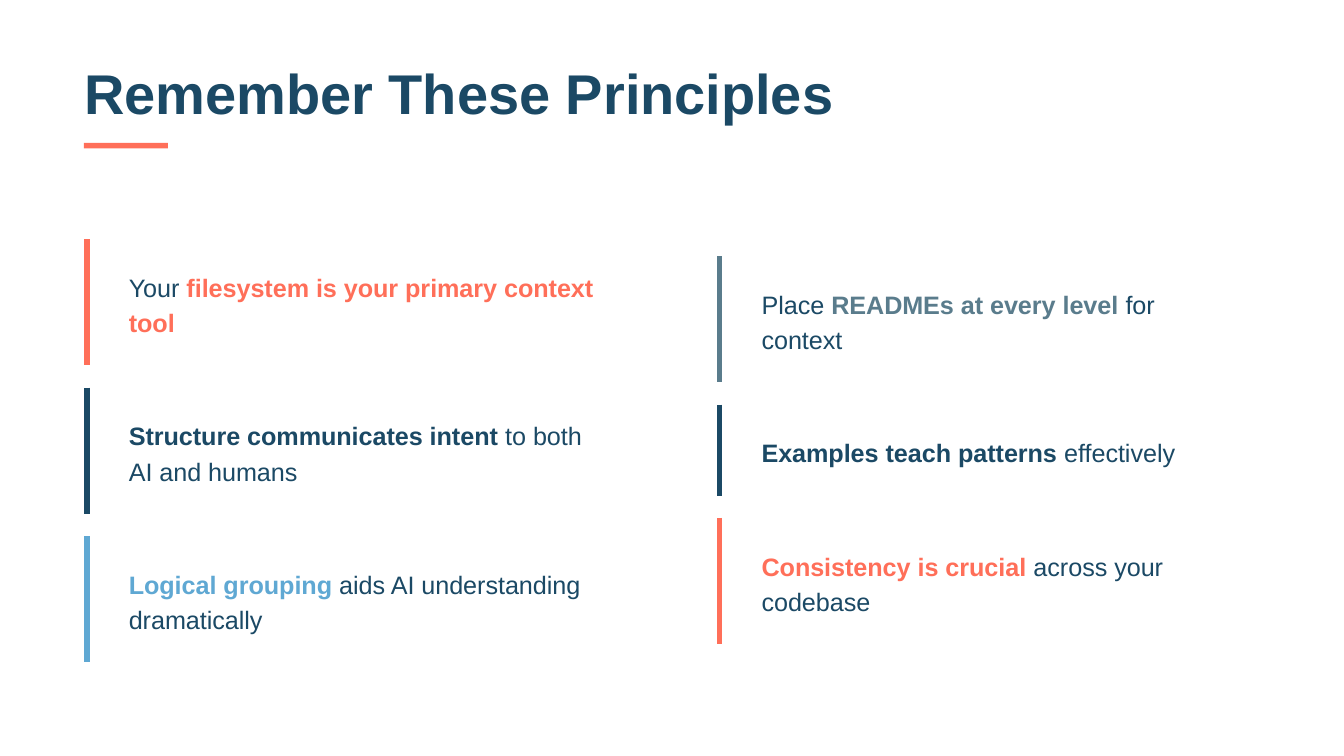
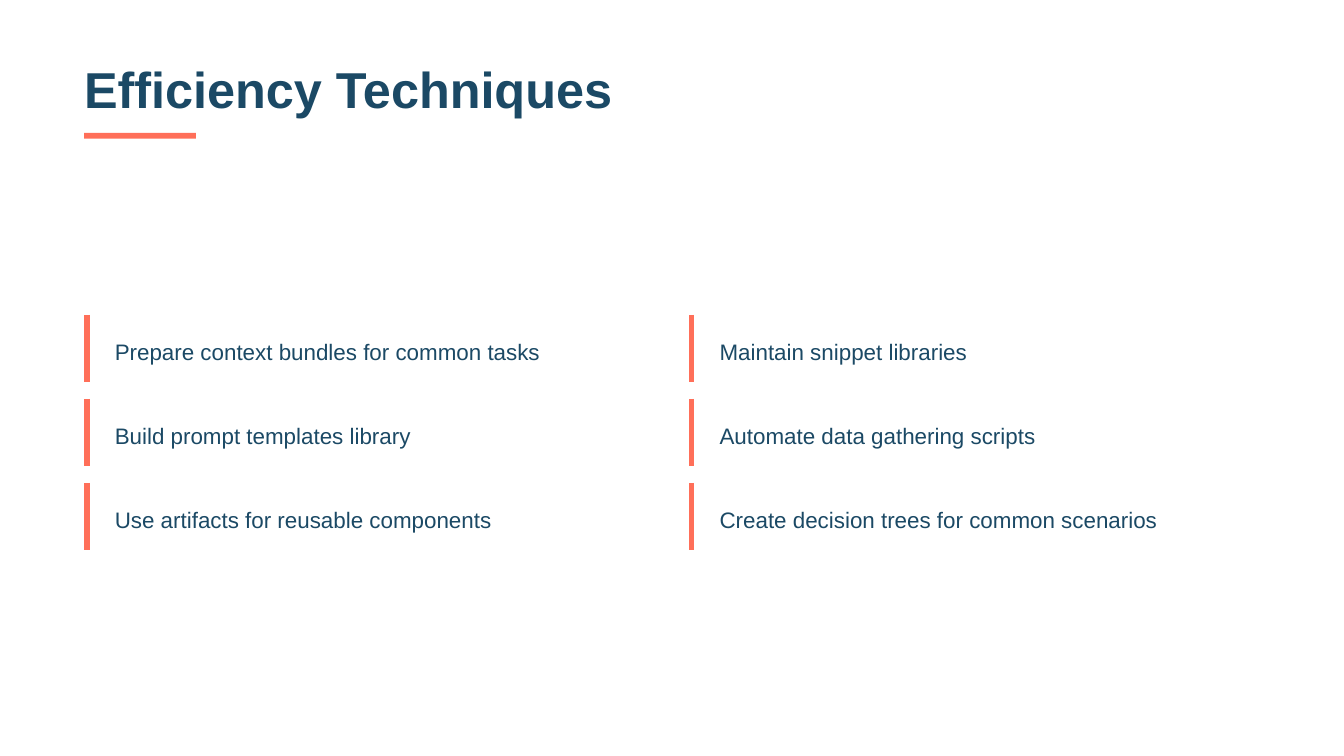
from lxml import etree
from pptx import Presentation
from pptx.dml.color import RGBColor
from pptx.enum.shapes import MSO_CONNECTOR as Connector, MSO_SHAPE as Shape
from pptx.enum.text import MSO_ANCHOR as Anchor, MSO_AUTO_SIZE as AutoSize, PP_ALIGN as Align
from pptx.oxml.ns import qn
from pptx.util import Emu, Pt

PX = 9525
FONT = "Arial"
LEFT = 60
COLORS = {"navy": "1B4965", "coral": "FF6F59", "sky": "5FA8D3",
          "slate": "5A7C8C", "white": "FFFFFF"}

PRINCIPLES = [
    [("coral", 2, [("Your ", "navy", False),
                   ("filesystem is your primary context tool", "coral", True)]),
     ("navy", 2, [("Structure communicates intent", "navy", True),
                  (" to both AI and humans", "navy", False)]),
     ("sky", 2, [("Logical grouping", "sky", True),
                 (" aids AI understanding dramatically", "navy", False)])],
    [("slate", 2, [("Place ", "navy", False),
                   ("READMEs at every level", "slate", True),
                   (" for context", "navy", False)]),
     ("navy", 1, [("Examples teach patterns", "navy", True),
                  (" effectively", "navy", False)]),
     ("coral", 2, [("Consistency is crucial", "coral", True),
                   (" across your codebase", "navy", False)])],
]
TECHNIQUES = [
    ["Prepare context bundles for common tasks",
     "Build prompt templates library",
     "Use artifacts for reusable components"],
    ["Maintain snippet libraries",
     "Automate data gathering scripts",
     "Create decision trees for common scenarios"],
]
PRINCIPLE_STYLE = {"width": 388, "gap": 16, "radius": 8, "indent": 32, "pad": 20,
                   "text_width": 334, "line": 25, "size": 13.5, "leading": 18.9}
TECHNIQUE_STYLE = {"width": 408, "gap": 12, "radius": 4, "indent": 22, "pad": 12,
                   "text_width": 375, "line": 24, "size": 12, "leading": 18}


def px(*lengths):
    """Turn pixel lengths into EMU."""
    return [Emu(length * PX) for length in lengths]


def color(name):
    """Look up a palette colour."""
    return RGBColor.from_string(COLORS[name])


def write(box, runs, size, leading):
    """Fill a text shape with one left-aligned paragraph of styled runs."""
    frame = box.text_frame
    frame.word_wrap = True
    frame.auto_size = AutoSize.NONE
    frame.vertical_anchor = Anchor.TOP
    frame.margin_left = frame.margin_top = frame.margin_right = frame.margin_bottom = 0
    para = frame.paragraphs[0]
    para.alignment = Align.LEFT
    para.line_spacing = Pt(leading)
    for text, tint, bold in runs:
        span = para.add_run()
        span.text = text
        span.font.name = FONT
        span.font.size = Pt(size)
        span.font.bold = bold
        span.font.color.rgb = color(tint)


def add_block(page, kind, bounds, fill):
    """Add a filled shape without outline or shadow."""
    block = page.shapes.add_shape(kind, *px(*bounds))
    block.shadow.inherit = False
    block.fill.solid()
    block.fill.fore_color.rgb = color(fill)
    block.line.fill.background()
    return block


def add_accent(page, x, top, bottom, tint):
    """Add the vertical line at a card's left edge."""
    accent = page.shapes.add_connector(Connector.STRAIGHT, *px(x, top, x, bottom))
    accent.line.color.rgb = color(tint)
    accent.line.width = Pt(3)
    etree.SubElement(accent._element.spPr, qn("a:effectLst"))


def add_titled_page(deck, title, top, width, size, rule_top, rule_width):
    """Add a page with its title and the short rule below it."""
    page = deck.slides.add_slide(deck.slide_layouts[5])
    heading = page.shapes.title
    heading.left, heading.top, heading.width, heading.height = px(LEFT, top, width, 40)
    write(heading, [(title, "navy", True)], size, 30)
    add_block(page, Shape.RECTANGLE, (LEFT, rule_top, rule_width, 4), "coral")
    return page


def add_card(page, x, y, tint, lines, runs, style):
    """Add one card with accent and text, and return its height."""
    text_height = lines * style["line"]
    height = text_height + 2 * style["pad"]
    card = add_block(page, Shape.ROUNDED_RECTANGLE, (x, y, style["width"], height), "white")
    card.adjustments[0] = style["radius"] / height
    add_accent(page, x + 2, y, y + height, tint)
    box = page.shapes.add_textbox(*px(x + style["indent"], y + style["pad"],
                                      style["text_width"], text_height))
    write(box, runs, style["size"], style["leading"])
    return height


def add_columns(page, columns, middle, style):
    """Stack cards in two columns, each centred on the same height."""
    right = 900 - style["width"]
    for x, cards in zip((LEFT, right), columns):
        total = sum(lines * style["line"] + 2 * style["pad"] for _, lines, _ in cards)
        total += style["gap"] * (len(cards) - 1)
        y = (2 * middle - total) // 2
        for tint, lines, runs in cards:
            y += add_card(page, x, y, tint, lines, runs, style) + style["gap"]


def main():
    """Build and save both slides."""
    deck = Presentation()
    deck.slide_width, deck.slide_height = px(960, 540)

    page = add_titled_page(deck, "Remember These Principles", 50, 547, 30, 102, 60)
    add_columns(page, PRINCIPLES, 322, PRINCIPLE_STYLE)

    page = add_titled_page(deck, "Efficiency Techniques", 45, 429, 27, 95, 80)
    columns = [[("coral", 1, [(text, "navy", False)]) for text in texts]
               for texts in TECHNIQUES]
    add_columns(page, columns, 309, TECHNIQUE_STYLE)

    deck.save("out.pptx")


if __name__ == "__main__":
    main()
